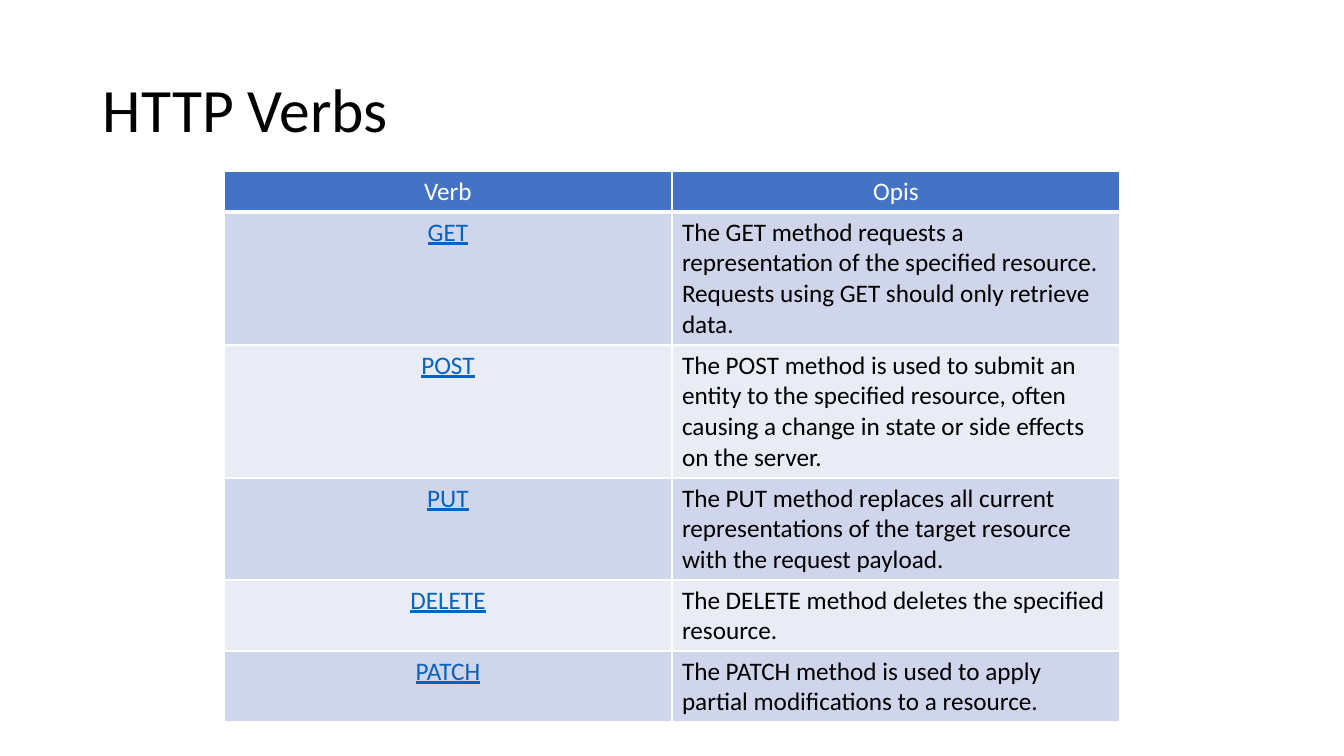
import pptx
import pptx.dml.color
import pptx.enum.text
import pptx.oxml
import pptx.oxml.ns
import pptx.util

SCALE = 914400 / 100.8
FONT = "Calibri"
BLACK, WHITE, LINK = "000000", "FFFFFF", "0563C1"
HEADER_FILL, BAND_FILLS = "4472C4", ("CFD5EA", "E9EBF5")
CENTER = pptx.enum.text.PP_ALIGN.CENTER
MIDDLE = pptx.enum.text.MSO_ANCHOR.MIDDLE

HEADINGS = ("Verb", "Opis")
ROW_HEIGHTS = (41, 133, 133, 102, 71, 71)
VERBS = (
    ("GET", "requests a representation of the specified resource. "
            "Requests using\u00a0GET\u00a0should only retrieve data. "),
    ("POST", "is used to submit an entity to the specified resource, "
             "often causing a change in state or side effects on the server."),
    ("PUT", "replaces all current representations of the target resource "
            "with the request payload."),
    ("DELETE", "deletes the specified resource."),
    ("PATCH", "is used to apply partial modifications to a resource."),
)


def px(length):
    """Turn pixels into EMU."""
    return pptx.util.Emu(round(length * SCALE))


def color(value):
    """Turn a hex string into a colour."""
    return pptx.dml.color.RGBColor.from_string(value)


def write(frame, text, size=18, ink=BLACK, align=None, underline=None, spacing=None):
    """Put one formatted paragraph into a text frame."""
    para = frame.paragraphs[0]
    para.alignment = align
    para.line_spacing = spacing
    span = para.add_run()
    span.text = text
    span.font.name = FONT
    span.font.size = pptx.util.Pt(size)
    span.font.color.rgb = color(ink)
    span.font.underline = underline


def add_title(page, text):
    """Add the slide title, centred vertically in its box."""
    box = page.shapes.add_textbox(px(93), px(40), px(1159), px(146))
    box.text_frame.word_wrap = True
    box.text_frame.vertical_anchor = MIDDLE
    write(box.text_frame, text, size=44, spacing=0.9)


def set_borders(cell, bottom=1):
    """Draw white lines on all four sides of a cell."""
    properties = cell._tc.get_or_add_tcPr()
    widths = {"lnL": 1, "lnR": 1, "lnT": 1, "lnB": bottom}
    for place, (side, width) in enumerate(widths.items()):
        line = pptx.oxml.parse_xml(
            f'<a:{side} {pptx.oxml.ns.nsdecls("a")} w="{pptx.util.Pt(width)}">'
            f'<a:solidFill><a:srgbClr val="{WHITE}"/></a:solidFill></a:{side}>')
        properties.insert(place, line)


def fill_cell(cell, text, fill, bottom=1, **text_format):
    """Give a cell its text, fill and borders."""
    write(cell.text_frame, text, **text_format)
    cell.fill.solid()
    cell.fill.fore_color.rgb = color(fill)
    set_borders(cell, bottom)


def add_verb_table(page):
    """Add the table of verbs and their descriptions."""
    frame = page.shapes.add_table(len(ROW_HEIGHTS), len(HEADINGS),
                                  px(224), px(171), px(896), px(sum(ROW_HEIGHTS)))
    table = frame.table
    for row, height in zip(table.rows, ROW_HEIGHTS):
        row.height = px(height)
    for column, heading in enumerate(HEADINGS):
        fill_cell(table.cell(0, column), heading, HEADER_FILL, bottom=3,
                  ink=WHITE, align=CENTER)
    for row, (verb, action) in enumerate(VERBS, start=1):
        fill = BAND_FILLS[(row - 1) % 2]
        fill_cell(table.cell(row, 0), verb, fill, ink=LINK, align=CENTER, underline=True)
        fill_cell(table.cell(row, 1), f"The\u00a0{verb}\u00a0method {action}", fill)


def main():
    """Build the slide and save it."""
    deck = pptx.Presentation()
    deck.slide_width, deck.slide_height = px(1344), px(756)
    page = deck.slides.add_slide(deck.slide_layouts[6])
    add_title(page, "HTTP Verbs")
    add_verb_table(page)
    deck.save("out.pptx")


main()
